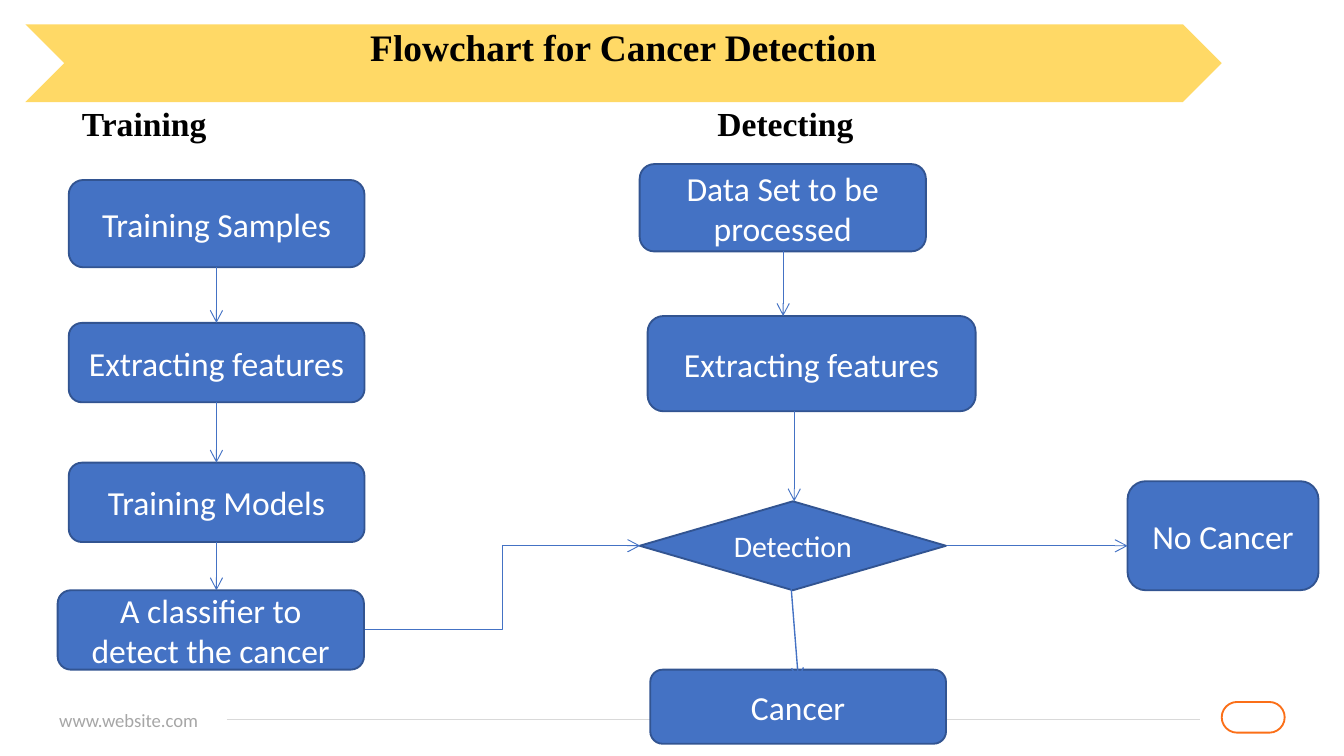
from dataclasses import dataclass

from pptx import Presentation
from pptx.dml.color import RGBColor
from pptx.enum.shapes import MSO_CONNECTOR, MSO_SHAPE
from pptx.enum.text import MSO_ANCHOR, PP_ALIGN
from pptx.oxml.ns import qn
from pptx.util import Cm, Pt
from lxml import etree

ROUND = MSO_SHAPE.ROUNDED_RECTANGLE
DIAMOND = MSO_SHAPE.FLOWCHART_DECISION
CHEVRON = MSO_SHAPE.CHEVRON
STRAIGHT = MSO_CONNECTOR.STRAIGHT
ELBOW = MSO_CONNECTOR.ELBOW
TOP, MIDDLE = MSO_ANCHOR.TOP, MSO_ANCHOR.MIDDLE
LEFT, CENTER = PP_ALIGN.LEFT, PP_ALIGN.CENTER


@dataclass(frozen=True)
class Theme:
    box: str = "4472C4"
    edge: str = "325491"
    banner: str = "FFD966"
    badge: str = "FB6F18"
    rule: str = "D9D9D9"
    foot: str = "A6A6A6"
    dark: str = "000000"
    light: str = "FFFFFF"
    sans: str = "Calibri"
    serif: str = "Times New Roman"
    title: int = 20
    body: int = 18
    small: int = 16
    tiny: int = 10


THEME = Theme()

# text, left, top, width, height in cm
STEPS = [
    ("Training Samples", 1.3, 3.4, 5.59, 1.65),
    ("Extracting features", 1.3, 6.1, 5.59, 1.5),
    ("Training Models", 1.3, 8.74, 5.59, 1.5),
    ("A classifier to detect the cancer", 1.09, 11.15, 5.79, 1.5),
    ("Data Set to be processed", 12.09, 3.1, 5.41, 1.65),
    ("Extracting features", 12.24, 5.97, 6.2, 1.8),
    ("Cancer", 12.29, 12.65, 5.59, 1.4),
    ("No Cancer", 21.31, 9.09, 3.61, 2.06),
]

# start x, start y, end x, end y in cm
ARROWS = [
    (4.09, 5.05, 4.09, 6.1),
    (4.09, 7.6, 4.09, 8.74),
    (4.09, 10.24, 4.09, 11.15),
    (14.8, 4.75, 14.8, 5.97),
    (15.01, 7.77, 15.01, 9.47),
    (17.9, 10.31, 21.31, 10.31),
]


def paint(color):
    return RGBColor.from_string(color)


def write(shape, text, *, size=THEME.body, font=THEME.sans, color=THEME.light,
          bold=False, align=CENTER, anchor=MIDDLE, wrap=True, inset=None,
          space=None, tab=None):
    frame = shape.text_frame
    frame.word_wrap = wrap
    frame.vertical_anchor = anchor
    if inset is not None:
        frame.margin_left = frame.margin_right = Cm(inset)
        frame.margin_top = frame.margin_bottom = Cm(inset)
    para = frame.paragraphs[0]
    para.text = text
    para.alignment = align
    if space is not None:
        para.line_spacing = space
    if tab is not None:
        stops = etree.SubElement(para._p.get_or_add_pPr(), qn("a:tabLst"))
        etree.SubElement(stops, qn("a:tab"), pos=str(Cm(tab)), algn="l")
    para.font.size = Pt(size)
    para.font.name = font
    para.font.bold = bold
    para.font.color.rgb = paint(color)


def place(slide, kind, area, fill=None, line=None):
    shape = slide.shapes.add_shape(kind, *map(Cm, area))
    shape.shadow.inherit = False
    if fill:
        shape.fill.solid()
        shape.fill.fore_color.rgb = paint(fill)
    else:
        shape.fill.background()
    if line:
        shape.line.color.rgb = paint(line)
        shape.line.width = Pt(1)
    else:
        shape.line.fill.background()
    return shape


def step(slide, text, area, kind=ROUND, size=THEME.body):
    shape = place(slide, kind, area, THEME.box, THEME.edge)
    write(shape, text, size=size)


def link(slide, ends, kind=STRAIGHT, color=THEME.box, width=0.5, head=True):
    line = slide.shapes.add_connector(kind, *map(Cm, ends))
    line.line.color.rgb = paint(color)
    line.line.width = Pt(width)
    props = line.element.spPr
    if head:
        etree.SubElement(props.find(qn("a:ln")), qn("a:tailEnd"), type="arrow")
    etree.SubElement(props, qn("a:effectLst"))


def label(slide, text, area, **form):
    write(slide.shapes.add_textbox(*map(Cm, area)), text, align=LEFT, **form)


def footer(slide):
    badge = place(slide, ROUND, (23.09, 13.26, 1.19, 0.58), line=THEME.badge)
    badge.adjustments[0] = 0.5
    link(slide, (4.29, 13.59, 22.68, 13.59), color=THEME.rule, width=0.75,
         head=False)
    label(slide, "www.website.com", (1.12, 13.39, 2.87, 0.43),
          size=THEME.tiny, color=THEME.foot, wrap=False, inset=0)


def main():
    deck = Presentation()
    deck.slide_width, deck.slide_height = Cm(25.4), Cm(14.28)
    slide = deck.slides.add_slide(deck.slide_layouts[6])

    footer(slide)
    label(slide, "Training\tDetecting", (1.3, 1.91, 22.86, 12.14),
          font=THEME.serif, color=THEME.dark, bold=True, anchor=TOP,
          space=0.9, tab=12.01)

    for text, *area in STEPS:
        step(slide, text, area)
    step(slide, "Detection", (12.09, 9.47, 5.79, 1.68), DIAMOND, THEME.small)

    for ends in ARROWS:
        link(slide, ends)
    link(slide, (6.9, 11.9, 12.1, 10.31), ELBOW)
    link(slide, (14.94, 10.95, 15.09, 12.85), width=0.75)

    banner = place(slide, CHEVRON, (0.48, 0.46, 22.61, 1.47), THEME.banner)
    write(banner, "Flowchart for Cancer Detection", size=THEME.title,
          font=THEME.serif, color=THEME.dark, bold=True, anchor=TOP, inset=0)

    deck.save("out.pptx")


if __name__ == "__main__":
    main()
